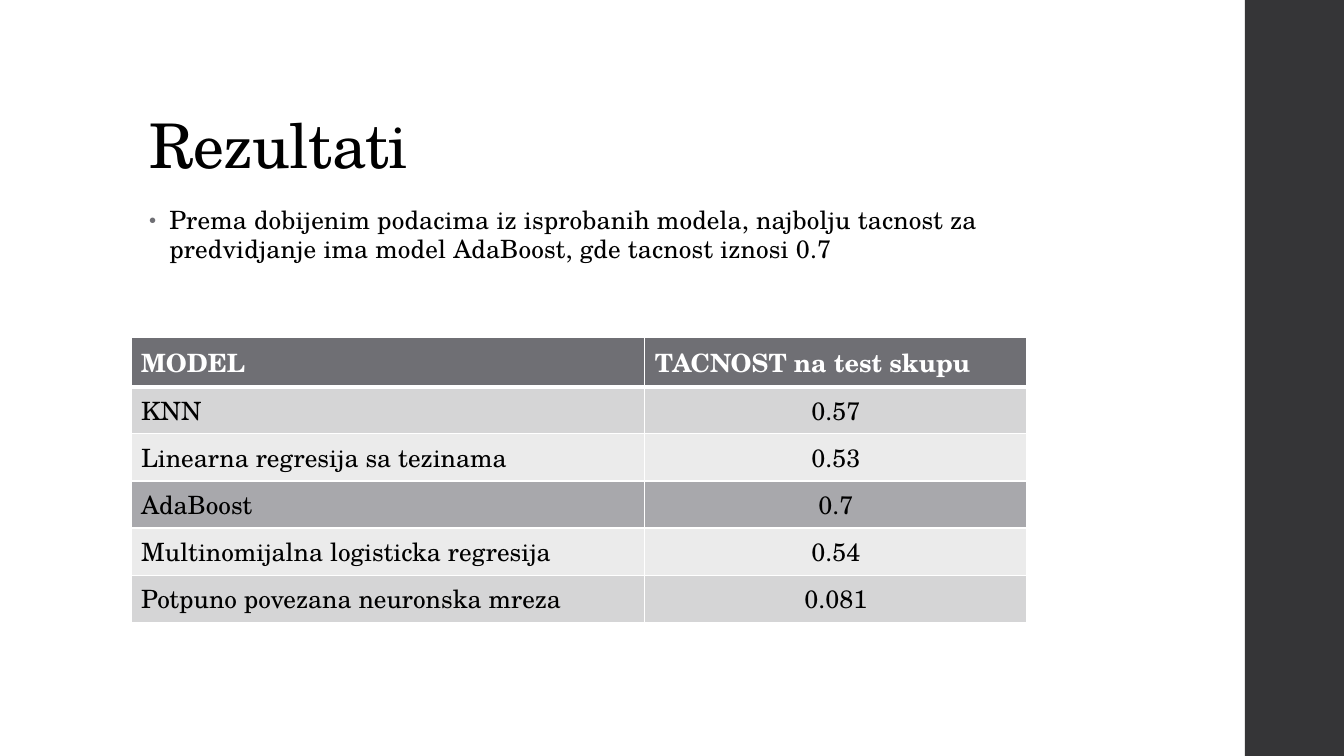
from dataclasses import dataclass

from lxml import etree
from pptx import Presentation
from pptx.dml import color
from pptx.enum import shapes, text
from pptx.oxml import ns
from pptx.util import Pt

TITLE = "Rezultati"
SUMMARY = (
    "Prema dobijenim podacima iz isprobanih modela, najbolju tacnost za "
    "predvidjanje ima model AdaBoost, gde tacnost iznosi 0.7"
)
HEADER = ("MODEL", "TACNOST na test skupu")
RESULTS = [
    ("KNN", "0.57"),
    ("Linearna regresija sa tezinama", "0.53"),
    ("AdaBoost", "0.7"),
    ("Multinomijalna logisticka regresija", "0.54"),
    ("Potpuno povezana neuronska mreza", "0.081"),
]
BEST_MODEL = "AdaBoost"


@dataclass(frozen=True)
class Theme:
    font: str = "TeX Gyre Schola"
    title_size: int = 44
    text_size: int = 18
    ink: str = "000000"
    paper: str = "FFFFFF"
    sidebar: str = "353537"
    accent: str = "6F6F74"
    highlight: str = "A8A8AC"
    bands: tuple = ("D5D5D6", "EBEBEB")


THEME = Theme()
SLIDE_WIDTH, SLIDE_HEIGHT = 960, 540
SIDEBAR_LEFT, SIDEBAR_WIDTH = 889.2, 72
TITLE_BOX = (99.36, 28.8, 763.2, 104.4)
BODY_BOX = (99.36, 144, 676.8, 342.72)
TABLE_LEFT, TABLE_TOP = 93.6, 241.2
COLUMN_WIDTHS = (367, 273)
ROW_HEIGHT = 29.2


def rgb(value):
    return color.RGBColor.from_string(value)


def add_element(parent, tag, **attributes):
    return etree.SubElement(parent, ns.qn(tag), attributes)


def add_solid_fill(parent, value):
    add_element(add_element(parent, "a:solidFill"), "a:srgbClr", val=value)


def write(frame, content, size=THEME.text_size, ink=THEME.ink, bold=False,
          align=text.PP_ALIGN.LEFT, line_spacing=None, tracking=0):
    paragraph = frame.paragraphs[0]
    paragraph.alignment = align
    if line_spacing:
        paragraph.line_spacing = line_spacing
    run = paragraph.add_run()
    run.text = content
    run.font.name = THEME.font
    run.font.size = Pt(size)
    run.font.bold = bold
    run.font.color.rgb = rgb(ink)
    if tracking:
        run.font._element.set("spc", str(round(tracking * 100)))
    return paragraph


def place(shape, box):
    shape.left, shape.top, shape.width, shape.height = map(Pt, box)


def add_bullet(paragraph):
    paragraph.space_before = Pt(14)
    paragraph.space_after = Pt(2)
    properties = paragraph._p.get_or_add_pPr()
    properties.set("marL", str(Pt(14.4)))
    properties.set("indent", str(Pt(-14.4)))
    bullet_color = add_element(properties, "a:buClr")
    add_element(bullet_color, "a:srgbClr", val=THEME.accent)
    add_element(properties, "a:buSzPct", val="80000")
    add_element(properties, "a:buFont", typeface="Arial")
    add_element(properties, "a:buChar", char="•")


def style_cell(cell, fill, bottom_width):
    properties = cell._tc.get_or_add_tcPr()
    for side, width in (("L", 1), ("R", 1), ("T", 1), ("B", bottom_width)):
        border = add_element(properties, f"a:ln{side}", w=str(Pt(width)))
        add_solid_fill(border, THEME.paper)
    cell.fill.solid()
    cell.fill.fore_color.rgb = rgb(fill)


def add_sidebar(slide):
    sidebar = slide.shapes.add_shape(
        shapes.MSO_SHAPE.RECTANGLE, Pt(SIDEBAR_LEFT), 0, Pt(SIDEBAR_WIDTH), Pt(SLIDE_HEIGHT)
    )
    sidebar.shadow.inherit = False
    sidebar.fill.solid()
    sidebar.fill.fore_color.rgb = rgb(THEME.sidebar)
    sidebar.line.fill.background()


def add_results_table(slide):
    rows = [HEADER, *RESULTS]
    table = slide.shapes.add_table(
        len(rows), len(HEADER), Pt(TABLE_LEFT), Pt(TABLE_TOP),
        Pt(sum(COLUMN_WIDTHS)), Pt(ROW_HEIGHT * len(rows)),
    ).table
    for column, width in zip(table.columns, COLUMN_WIDTHS):
        column.width = Pt(width)
    for row_index, values in enumerate(rows):
        table.rows[row_index].height = Pt(ROW_HEIGHT)
        is_header = row_index == 0
        if is_header:
            fill = THEME.accent
        elif values[0] == BEST_MODEL:
            fill = THEME.highlight
        else:
            fill = THEME.bands[(row_index - 1) % 2]
        for column_index, value in enumerate(values):
            cell = table.cell(row_index, column_index)
            style_cell(cell, fill, bottom_width=3 if is_header else 1)
            centered = column_index == 1 and not is_header
            write(
                cell.text_frame, value, bold=is_header,
                ink=THEME.paper if is_header else THEME.ink,
                align=text.PP_ALIGN.CENTER if centered else text.PP_ALIGN.LEFT,
            )


def main():
    presentation = Presentation()
    presentation.slide_width = Pt(SLIDE_WIDTH)
    presentation.slide_height = Pt(SLIDE_HEIGHT)
    slide = presentation.slides.add_slide(presentation.slide_layouts[1])
    add_sidebar(slide)

    title, body = slide.shapes.title, slide.placeholders[1]
    place(title, TITLE_BOX)
    title.text_frame.vertical_anchor = text.MSO_ANCHOR.BOTTOM
    write(title.text_frame, TITLE, size=THEME.title_size, line_spacing=0.9, tracking=-0.5)
    place(body, BODY_BOX)
    add_bullet(write(body.text_frame, SUMMARY, line_spacing=0.95, tracking=0.1))

    add_results_table(slide)
    presentation.save("out.pptx")


if __name__ == "__main__":
    main()
